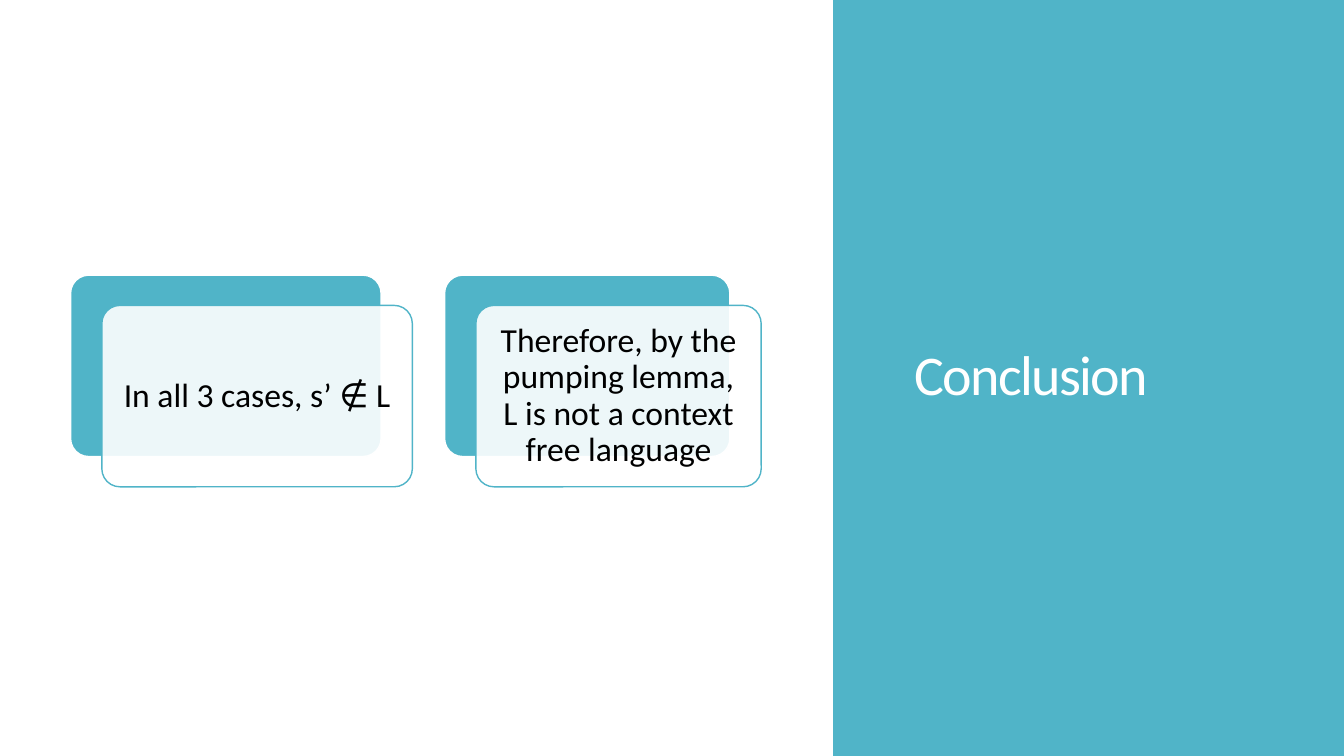
from dataclasses import dataclass

from lxml import etree
from pptx import Presentation
from pptx.dml.color import RGBColor
from pptx.enum.shapes import MSO_SHAPE
from pptx.enum.text import MSO_ANCHOR, MSO_AUTO_SIZE, PP_ALIGN
from pptx.oxml.ns import qn
from pptx.util import Inches, Pt

# Content: each card's text and width
TITLE = "Conclusion"
CARDS = [
    ("In all 3 cases, s’ ∉ L", 3.08),
    ("Therefore, by the pumping lemma, L is not a context free language", 2.83),
]


@dataclass(frozen=True)
class Theme:
    accent: RGBColor = RGBColor(0x50, 0xB4, 0xC8)
    white: RGBColor = RGBColor(0xFF, 0xFF, 0xFF)
    black: RGBColor = RGBColor(0, 0, 0)
    font: str = "Calibri"
    title_size: int = 40
    card_size: int = 24


THEME = Theme()
RECT, ROUNDED = MSO_SHAPE.RECTANGLE, MSO_SHAPE.ROUNDED_RECTANGLE
LEFT, CENTER, MIDDLE = PP_ALIGN.LEFT, PP_ALIGN.CENTER, MSO_ANCHOR.MIDDLE
TITLE_ONLY = 5

# Layout in inches
WIDTH, HEIGHT = 13.33, 7.5
PANEL_LEFT = WIDTH * 0.62
TITLE_BOX = (8.97, 0.7, 3.66, 6.11)
CARDS_LEFT, CARDS_TOP, CARD_HEIGHT = 0.7, 2.73, 1.8
OFFSET_X, OFFSET_Y = 0.31, 0.3
CARD_GAP = 0.63
CARD_INSET = 0.15


def add_block(shapes, kind, box, fill, line=None):
    sp = shapes.add_shape(kind, *map(Inches, box))
    sp.shadow.inherit = False
    sp.fill.solid()
    sp.fill.fore_color.rgb = fill
    if line is None:
        sp.line.fill.background()
    else:
        sp.line.color.rgb = line
        sp.line.width = Pt(1)
    if kind == ROUNDED:
        sp.adjustments[0] = 0.1
    return sp


def set_text(sp, text, size, color, align, spacing):
    tf = sp.text_frame
    tf.word_wrap = True
    tf.auto_size = MSO_AUTO_SIZE.NONE
    tf.vertical_anchor = MIDDLE
    p = tf.paragraphs[0]
    p.alignment, p.line_spacing = align, spacing
    r = p.add_run()
    r.text = text
    for name, value in {"name": THEME.font, "size": Pt(size)}.items():
        setattr(r.font, name, value)
    r.font.color.rgb = color
    return r


def add_card(s, text, left, width):
    shapes = s.shapes.add_group_shape().shapes
    add_block(shapes, ROUNDED, (left, CARDS_TOP, width, CARD_HEIGHT), THEME.accent, THEME.white)
    front_box = (left + OFFSET_X, CARDS_TOP + OFFSET_Y, width, CARD_HEIGHT)
    front = add_block(shapes, ROUNDED, front_box, THEME.white, THEME.accent)
    # Front card is 90% opaque
    color = front.fill._xPr.find(qn("a:solidFill"))[0]
    etree.SubElement(color, qn("a:alpha")).set("val", "90000")
    set_text(front, text, THEME.card_size, THEME.black, CENTER, 0.9)
    for side in ("left", "top", "right", "bottom"):
        setattr(front.text_frame, f"margin_{side}", Inches(CARD_INSET))


def main():
    prs = Presentation()
    prs.slide_width, prs.slide_height = Inches(WIDTH), Inches(HEIGHT)
    s = prs.slides.add_slide(prs.slide_layouts[TITLE_ONLY])

    # Side panel, placed behind the title
    panel = add_block(s.shapes, RECT, (PANEL_LEFT, 0, WIDTH - PANEL_LEFT, HEIGHT), THEME.accent)
    title = s.shapes.title
    title._element.addprevious(panel._element)

    # Title
    title.left, title.top, title.width, title.height = map(Inches, TITLE_BOX)
    r = set_text(title, TITLE, THEME.title_size, THEME.white, LEFT, 0.85)
    r.font._element.set("spc", "-120")

    # Cards, left to right
    left = CARDS_LEFT
    for text, width in CARDS:
        add_card(s, text, left, width)
        left += width + CARD_GAP

    prs.save("out.pptx")


if __name__ == "__main__":
    main()
